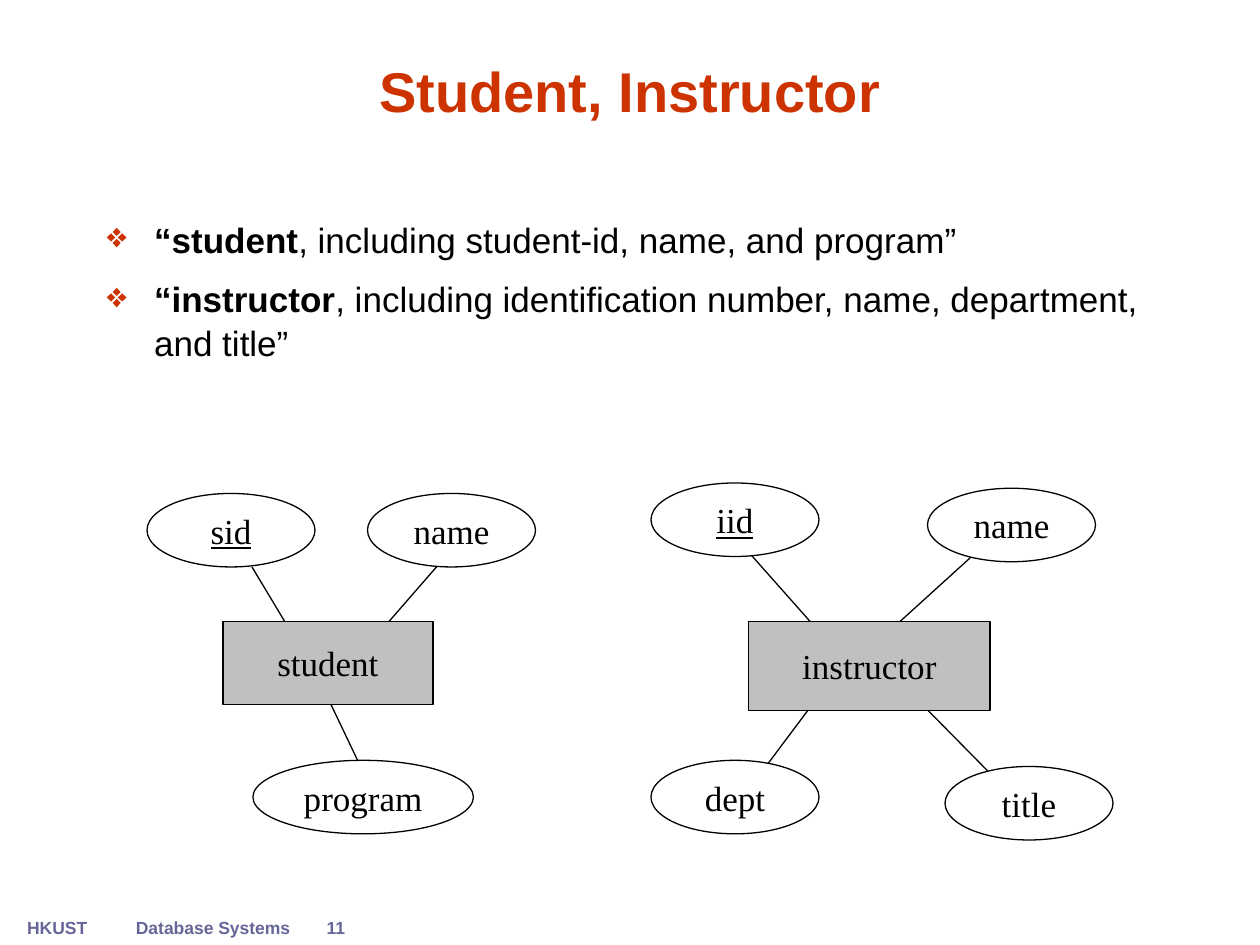
from dataclasses import dataclass

from lxml import etree
from pptx import Presentation
from pptx.dml.color import RGBColor
from pptx.enum.shapes import MSO_CONNECTOR, MSO_SHAPE
from pptx.enum.text import MSO_ANCHOR, MSO_AUTO_SIZE, PP_ALIGN
from pptx.oxml.ns import qn
from pptx.util import Pt

LEFT, CENTER = PP_ALIGN.LEFT, PP_ALIGN.CENTER
TOP, MIDDLE, BOTTOM = MSO_ANCHOR.TOP, MSO_ANCHOR.MIDDLE, MSO_ANCHOR.BOTTOM
BOX, OVAL = MSO_SHAPE.FLOWCHART_PROCESS, MSO_SHAPE.OVAL
STRAIGHT = MSO_CONNECTOR.STRAIGHT


@dataclass(frozen=True)
class Theme:
    accent: str = "CC3300"
    footer: str = "666699"
    ink: str = "000000"
    entity: str = "C0C0C0"
    attribute: str = "FFFFFF"
    sans: str = "Arial"
    serif: str = "Times New Roman"
    title_size: int = 32
    text_size: int = 20
    footer_size: int = 10
    line_width: float = 0.75


T = Theme()
OVAL_W, OVAL_H = 96, 42


def add_run(p, text, *, size=T.text_size, color=T.ink, font=T.sans,
            bold=False, underline=False):
    r = p.add_run()
    r.text = text
    r.font.name, r.font.size = font, Pt(size)
    r.font.bold, r.font.underline = bold, underline
    r.font.color.rgb = RGBColor.from_string(color)


def set_frame(tf, *, anchor=TOP, wrap=True):
    tf.word_wrap, tf.vertical_anchor = wrap, anchor
    tf.auto_size = MSO_AUTO_SIZE.NONE
    tf.margin_left = tf.margin_right = Pt(7.2)
    tf.margin_top = tf.margin_bottom = Pt(3.6)


def set_bullet(p, char, color, indent):
    pPr = p._p.get_or_add_pPr()
    pPr.set("marL", str(Pt(indent)))
    pPr.set("indent", str(-Pt(indent)))
    clr = etree.SubElement(pPr, qn("a:buClr"))
    etree.SubElement(clr, qn("a:srgbClr"), val=color)
    etree.SubElement(pPr, qn("a:buChar"), char=char)


def add_title(s, box, text):
    sp = s.shapes.title
    sp.left, sp.top, sp.width, sp.height = map(Pt, box)
    set_frame(sp.text_frame, anchor=BOTTOM)
    p = sp.text_frame.paragraphs[0]
    p.alignment = CENTER
    add_run(p, text, size=T.title_size, color=T.accent, bold=True)


def add_bullets(s, box, items):
    tf = s.shapes.add_textbox(*map(Pt, box)).text_frame
    set_frame(tf)
    for i, (term, rest) in enumerate(items):
        p = tf.add_paragraph() if i else tf.paragraphs[0]
        p.line_spacing = 1.05
        p.space_before = Pt(8.8 if i else 0)
        set_bullet(p, "❖", T.accent, 27)
        add_run(p, term, bold=True)
        add_run(p, rest)


def add_footer(s, box, items):
    x, y, _, h = box
    for text, dx, w, align in items:
        tf = s.shapes.add_textbox(Pt(x + dx), Pt(y), Pt(w), Pt(h)).text_frame
        set_frame(tf, wrap=False)
        p = tf.paragraphs[0]
        p.alignment = align
        add_run(p, text, size=T.footer_size, color=T.footer, bold=True)


def add_node(s, kind, box, text, fill, underline=False):
    sp = s.shapes.add_shape(kind, *map(Pt, box))
    sp.shadow.inherit = False
    sp.fill.solid()
    sp.fill.fore_color.rgb = RGBColor.from_string(fill)
    sp.line.color.rgb = RGBColor.from_string(T.ink)
    sp.line.width = Pt(T.line_width)
    set_frame(sp.text_frame, anchor=MIDDLE, wrap=False)
    p = sp.text_frame.paragraphs[0]
    p.alignment = CENTER
    add_run(p, text, font=T.serif, underline=underline)


def add_line(s, x1, y1, x2, y2):
    c = s.shapes.add_connector(STRAIGHT, Pt(x1), Pt(y1), Pt(x2), Pt(y2))
    c.line.color.rgb = RGBColor.from_string(T.ink)
    c.line.width = Pt(T.line_width)
    etree.SubElement(c._element.spPr, qn("a:effectLst"))


def add_entity(s, box, entity, attributes, links):
    """Place an entity with its attributes; the first attribute is the key."""
    x, y, _, _ = box
    # Links lie behind the nodes, which cover their ends
    for x1, y1, x2, y2 in links:
        add_line(s, x + x1, y + y1, x + x2, y + y2)
    name, dx, dy, w, h = entity
    add_node(s, BOX, (x + dx, y + dy, w, h), name, T.entity)
    for i, (text, dx, dy, w) in enumerate(attributes):
        add_node(s, OVAL, (x + dx, y + dy, w, OVAL_H), text, T.attribute,
                 underline=i == 0)


def main():
    prs = Presentation()
    prs.slide_width, prs.slide_height = Pt(720), Pt(540)
    s = prs.slides.add_slide(prs.slide_layouts[5])

    # Footer
    add_footer(s, (8.6, 520.5, 215, 19.5), [
        ("HKUST", 0, 48.2, CENTER),
        ("Database Systems", 62, 102, LEFT),
        ("11", 152, 62.6, CENTER),
    ])

    # Title and text
    add_title(s, (54, 3.6, 612, 70.5), "Student, Instructor")
    add_bullets(s, (54, 120, 612, 324), [
        ("“student", ", including student-id, name, and program”"),
        ("“instructor",
         ", including identification number, name, department, and title”"),
    ])

    # Entity diagrams
    add_entity(
        s, (84, 282, 222, 194), ("student", 43.4, 73, 120, 47.5),
        [("sid", 0, 0, OVAL_W), ("name", 126, 0, OVAL_W),
         ("program", 60.5, 152.5, 126)],
        [(60, 42, 88.8, 90), (168, 39, 128.4, 84.5), (102, 114, 123, 158)])
    add_entity(
        s, (372, 276, 264, 204), ("instructor", 55.8, 79, 138, 51),
        [("iid", 0, 0, OVAL_W), ("name", 158, 3, OVAL_W),
         ("dept", 0, 158.5, OVAL_W), ("title", 168, 162, OVAL_W)],
        [(55.7, 39.4, 101, 90.5), (192.5, 33.6, 129.8, 90.5),
         (65.8, 161.8, 106.8, 107), (197.5, 169.7, 141.4, 112.8)])

    prs.save("out.pptx")


if __name__ == "__main__":
    main()
